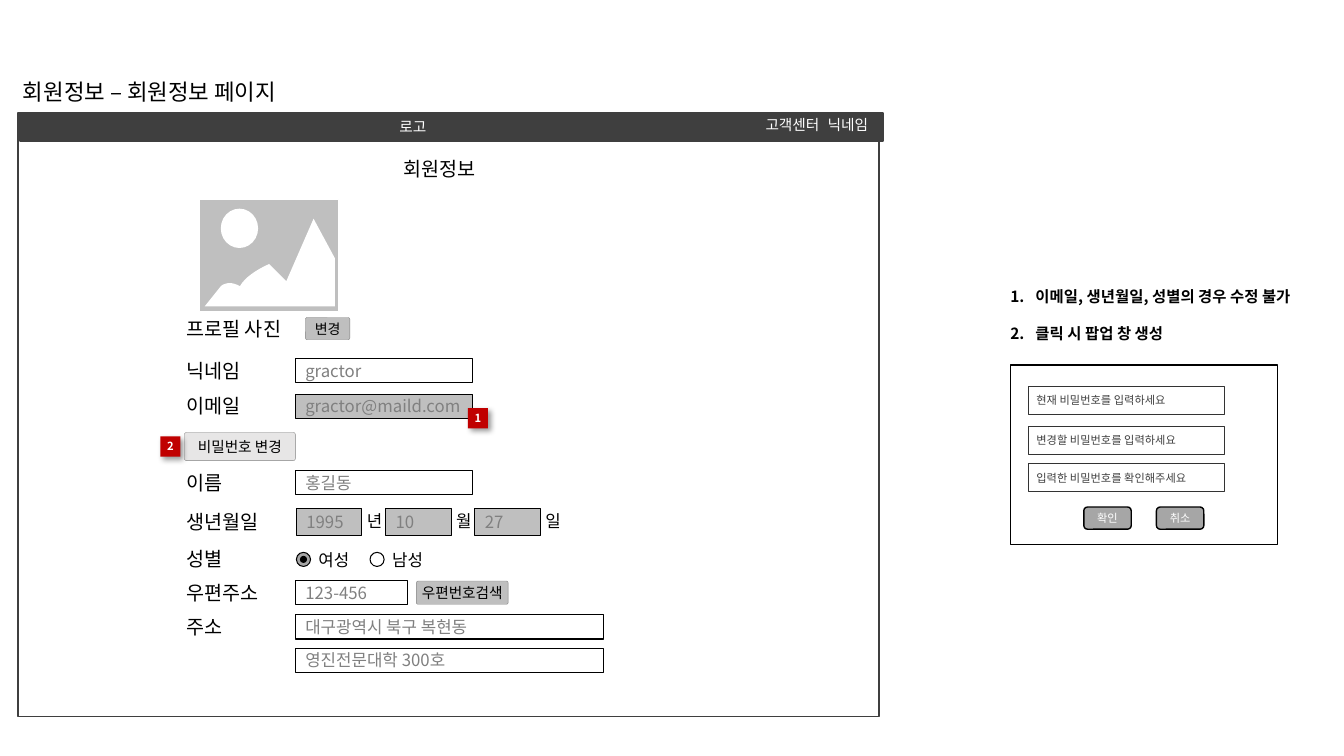
"""Build the member information page wireframe slide."""
from lxml.etree import SubElement
from pptx import Presentation
from pptx.dml.color import RGBColor
from pptx.enum.shapes import MSO_SHAPE
from pptx.enum.text import MSO_ANCHOR, PP_ALIGN
from pptx.oxml.ns import qn
from pptx.util import Inches, Pt

FONT = "Noto Sans CJK KR"
COLORS = {"white": "FFFFFF", "black": "000000", "bar": "3F3F3F", "locked": "BFBFBF",
          "button": "E7E6E6", "gray": "808080", "radio": "A6A6A6", "badge": "C00000",
          "popup_line": "333333", "popup_text": "404040"}
LABEL_LEFT, FIELD_LEFT, FIELD_HEIGHT = 1.75, 2.93, 0.24
ROWS = {"photo": 3.26, "nickname": 3.68, "email": 4.03, "password": 4.43, "name": 4.79,
        "birth": 5.18, "gender": 5.55, "zip": 5.88, "address": 6.22, "detail": 6.55}
LABELS = {"photo": "프로필 사진", "nickname": "닉네임", "email": "이메일", "name": "이름",
          "birth": "생년월일", "gender": "성별", "zip": "우편주소", "address": "주소"}
FIELDS = [("nickname", "gractor", 1.76, "white"), ("email", "gractor@maild.com", 1.76, "locked"),
          ("name", "홍길동", 1.76, "white"), ("zip", "123-456", 1.11, "white"),
          ("address", "대구광역시 북구 복현동", 3.06, "white"),
          ("detail", "영진전문대학 300호", 3.06, "white")]
BIRTH = [("1995", "년"), ("10", "월"), ("27", "일")]
GENDERS = [("여성", "radio"), ("남성", "white")]
BUTTONS = [("photo", "변경", 3.03, 0.44, 0.22, "locked", 10),
           ("password", "비밀번호 변경", 1.83, 1.1, 0.28, "button", 10.5),
           ("zip", "우편번호검색", 4.13, 0.91, 0.23, "locked", 10.5)]
BADGES = [("1", 4.64, 4.05), ("2", 1.59, 4.33)]
HEADER = [("로고", 3.74, 0.71, 1.12), ("고객센터", 7.56, 0.6, 1.1), ("닉네임", 8.16, 0.5, 1.1)]
NOTES = ["이메일, 생년월일, 성별의 경우 수정 불가", "클릭 시 팝업 창 생성"]
POPUP_FIELDS = [("현재 비밀번호를 입력하세요", 3.83), ("변경할 비밀번호를 입력하세요", 4.23),
                ("입력한 비밀번호를 확인해주세요", 4.6)]
POPUP_BUTTONS = ["확인", "취소"]
RIDGE = [(2.03, 3.04), (3.32, 3.04), (3.32, 2.56), (3.11, 2.17), (2.84, 2.79), (2.67, 2.62)]
HILLS = [((2.67, 2.62), (2.67, 2.62), (2.45, 2.71), (2.38, 2.84)),
         ((2.38, 2.84), (2.26, 2.77), (2.19, 2.84), (2.19, 2.84))]


def rgb(name):
    return RGBColor.from_string(COLORS[name])


def style_font(font, size, color, bold=False):
    font.name, font.size, font.bold = FONT, Pt(size), bold
    font.color.rgb = rgb(color)


def write(shape, text, size=12, color="black", align=PP_ALIGN.LEFT, anchor=MSO_ANCHOR.MIDDLE,
          insets=(0.1, 0.05, 0.1, 0.05), bold=False, wrap=True):
    frame = shape.text_frame
    frame.word_wrap, frame.vertical_anchor = wrap, anchor
    (frame.margin_left, frame.margin_top,
     frame.margin_right, frame.margin_bottom) = [Inches(inset) for inset in insets]
    paragraph = frame.paragraphs[0]
    paragraph.alignment = align
    run = paragraph.add_run()
    run.text = text
    style_font(run.font, size, color, bold)
    SubElement(run.font._element, qn("a:ea"), typeface=FONT)


def add_shape(slide, kind, box, fill=None, line=None, width=0.75):
    shape = slide.shapes.add_shape(kind, *[Inches(length) for length in box])
    paint(shape, fill, line, width)
    return shape


def paint(shape, fill, line=None, width=0.75):
    shape.shadow.inherit = False
    if fill:
        shape.fill.solid()
        shape.fill.fore_color.rgb = rgb(fill)
    else:
        shape.fill.background()
    if line:
        shape.line.color.rgb = rgb(line)
        shape.line.width = Pt(width)
    else:
        shape.line.fill.background()


def add_text(slide, text, box, **style):
    shape = slide.shapes.add_textbox(*[Inches(length) for length in box])
    write(shape, text, **style)


def add_label(slide, text, left, center, width, size=14):
    height = 0.34 if size == 14 else 0.3
    add_text(slide, text, (left, center - height / 2, width, height),
             size=size, anchor=MSO_ANCHOR.TOP)


def add_field(slide, text, left, center, width, height, fill):
    shape = add_shape(slide, MSO_SHAPE.RECTANGLE, (left, center - height / 2, width, height),
                      fill, "black")
    write(shape, text, color="gray")


def add_badge(slide, number, left, top):
    badge = add_shape(slide, MSO_SHAPE.RECTANGLE, (left, top, 0.2, 0.2), "badge")
    effects = badge._element.spPr.find(qn("a:effectLst"))
    shadow = SubElement(effects, qn("a:outerShdw"), blurRad=str(Pt(4)), dist=str(Pt(3)),
                        dir="2700000", algn="tl", rotWithShape="0")
    color = SubElement(shadow, qn("a:srgbClr"), val=COLORS["black"])
    SubElement(color, qn("a:alpha"), val="40000")
    write(badge, number, size=8, color="white", align=PP_ALIGN.CENTER, insets=(0, 0, 0, 0),
          bold=True, wrap=False)


def curve_points(curve, steps=12):
    for step in range(1, steps + 1):
        t = step / steps
        weights = ((1 - t) ** 3, 3 * t * (1 - t) ** 2, 3 * t * t * (1 - t), t ** 3)
        yield tuple(sum(weight * point[axis] for weight, point in zip(weights, curve))
                    for axis in (0, 1))


def add_profile_photo(slide):
    add_shape(slide, MSO_SHAPE.RECTANGLE, (1.98, 1.98, 1.38, 1.11), "locked", "white", 1)
    add_shape(slide, MSO_SHAPE.OVAL, (2.19, 2.07, 0.37, 0.39), "white")
    outline = RIDGE + [point for hill in HILLS for point in curve_points(hill)]
    points = [(Inches(x), Inches(y)) for x, y in outline]
    builder = slide.shapes.build_freeform(*points[0])
    builder.add_line_segments(points[1:], close=True)
    paint(builder.convert_to_shape(), "white")


def add_page(slide):
    add_shape(slide, MSO_SHAPE.RECTANGLE, (0.18, 1.12, 8.54, 5.99), "white", "bar", 1)
    add_shape(slide, MSO_SHAPE.RECTANGLE, (0.2, 1.12, 8.56, 0.28), "bar", "bar", 1)
    for text, left, width, top in HEADER:
        add_text(slide, text, (left, top, width, 0.28), size=10.5, color="white",
                 align=PP_ALIGN.CENTER, insets=(0, 0, 0, 0))
    add_text(slide, "회원정보 – 회원정보 페이지", (0.13, 0.73, 3, 0.37), size=16,
             anchor=MSO_ANCHOR.TOP, wrap=False)
    add_label(slide, "회원정보", 3.9, 1.68, 2.72)
    add_profile_photo(slide)


def add_form(slide):
    for row, text in LABELS.items():
        add_label(slide, text, LABEL_LEFT, ROWS[row], 1.28)
    for row, text, width, fill in FIELDS:
        add_field(slide, text, FIELD_LEFT, ROWS[row], width, FIELD_HEIGHT, fill)
    for column, (value, unit) in enumerate(BIRTH):
        left = 2.94 + 0.885 * column
        add_field(slide, value, left, ROWS["birth"], 0.65, 0.27, "locked")
        add_label(slide, unit, left + 0.6, ROWS["birth"] - 0.01, 0.46, size=12)
    for column, (text, fill) in enumerate(GENDERS):
        left = 2.94 + 0.73 * column
        add_shape(slide, MSO_SHAPE.OVAL, (left, 5.48, 0.14, 0.14), fill, "black")
        add_label(slide, text, left + 0.12, ROWS["gender"], 0.82, size=12)
    add_shape(slide, MSO_SHAPE.OVAL, (2.975, 5.515, 0.07, 0.07), "black")
    for row, text, left, width, height, fill, size in BUTTONS:
        button = add_shape(slide, MSO_SHAPE.ROUNDED_RECTANGLE,
                           (left, ROWS[row] - height / 2, width, height), fill, "gray", 0.25)
        button.adjustments[0] = 0.075
        write(button, text, size=size, align=PP_ALIGN.CENTER, insets=(0, 0.05, 0, 0.05))
    for badge in BADGES:
        add_badge(slide, *badge)


def add_notes(slide):
    for number, text in enumerate(NOTES, start=1):
        shape = slide.shapes.add_textbox(Inches(10.02), Inches(2.83 + 0.37 * (number - 1)),
                                         Inches(3.08), Inches(0.22))
        properties = shape.text_frame.paragraphs[0]._p.get_or_add_pPr()
        properties.set("marL", str(Inches(0.25)))
        properties.set("indent", str(Inches(-0.25)))
        SubElement(properties, qn("a:buFont"), typeface=FONT)
        SubElement(properties, qn("a:buAutoNum"), type="arabicPeriod", startAt=str(number))
        write(shape, text, size=11, insets=(0, 0, 0, 0), bold=True)


def add_popup(slide):
    add_shape(slide, MSO_SHAPE.RECTANGLE, (10.02, 3.62, 2.65, 1.78), None, "black", 1)
    for text, top in POPUP_FIELDS:
        field = add_shape(slide, MSO_SHAPE.RECTANGLE, (10.2, top, 1.94, 0.28),
                          "white", "popup_line", 0.5)
        write(field, text, size=8, color="popup_text", insets=(0.08, 0.04, 0.18, 0.04))
    for column, text in enumerate(POPUP_BUTTONS):
        button = add_shape(slide, MSO_SHAPE.ROUNDED_RECTANGLE,
                           (10.75 + 0.72 * column, 5.03, 0.47, 0.22), "radio", "black", 1)
        write(button, text, size=8, color="white", align=PP_ALIGN.CENTER)


def main():
    presentation = Presentation()
    presentation.slide_width, presentation.slide_height = Inches(13.33), Inches(7.5)
    slide = presentation.slides.add_slide(presentation.slide_layouts[6])
    for add_part in (add_page, add_form, add_notes, add_popup):
        add_part(slide)
    presentation.save("out.pptx")


if __name__ == "__main__":
    main()
